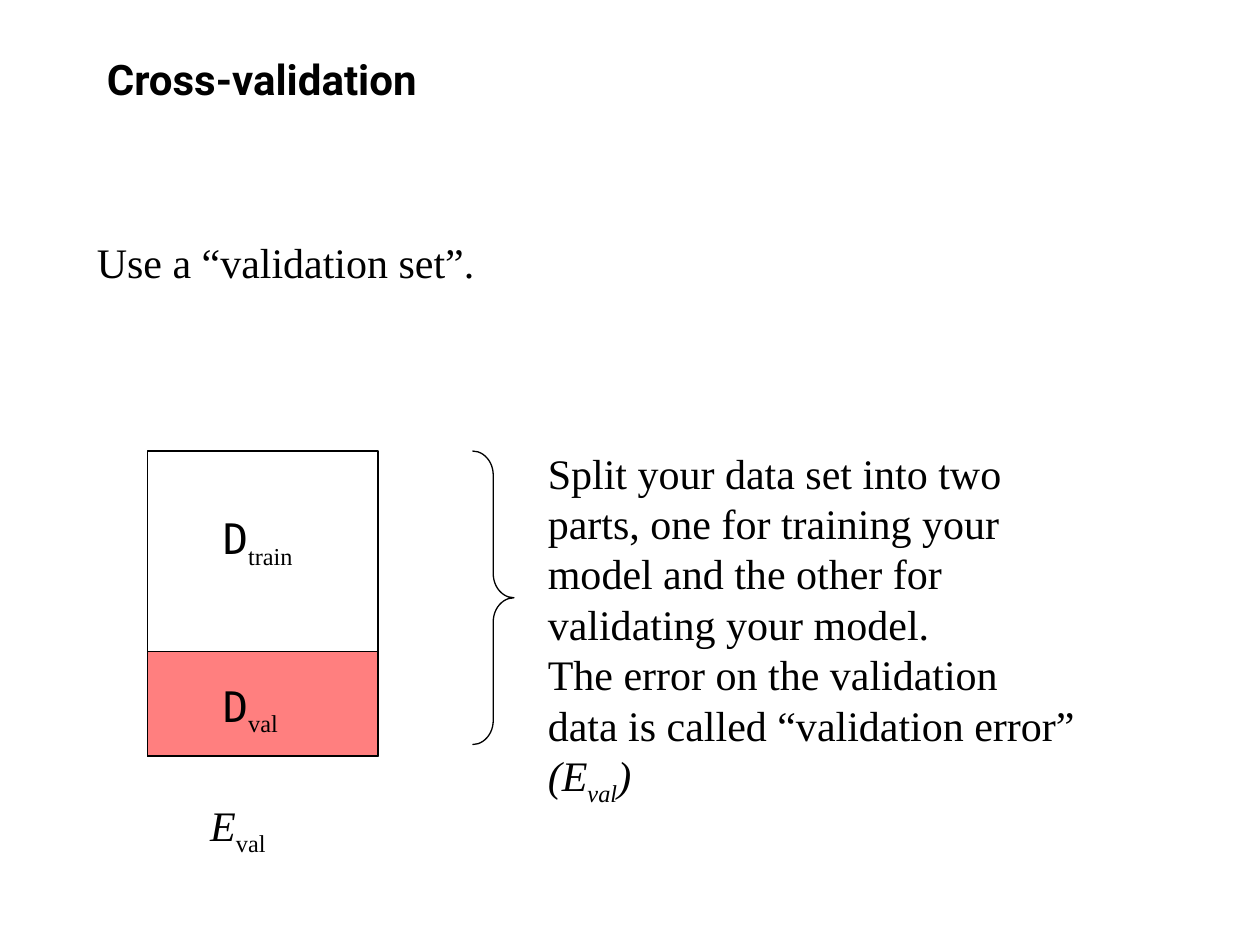
from lxml.etree import SubElement
from pptx import Presentation
from pptx.dml.color import RGBColor
from pptx.enum.shapes import MSO_CONNECTOR, MSO_SHAPE
from pptx.enum.text import MSO_ANCHOR, MSO_AUTO_SIZE
from pptx.oxml.ns import qn
from pptx.util import Inches, Pt

COLORS = {"ink": "000000", "val": "FF0000"}
SERIF = "Times New Roman"
MONO = "DejaVu Sans Mono"
HEAD = "Roboto"


def tint(name):
    return RGBColor.from_string(COLORS[name])


def add_run(para, text, face=SERIF, bold=False, slant=False, sub=False):
    run = para.add_run()
    run.text = text
    font = run.font
    font.name = face
    font.size = Pt(24)
    font.bold = bold
    font.italic = slant
    font.color.rgb = tint("ink")
    if sub:
        font._element.set("baseline", "-25000")


def add_text(slide, box, lines, wrap=False, anchor=MSO_ANCHOR.TOP):
    shape = slide.shapes.add_textbox(*map(Inches, box))
    frame = shape.text_frame
    frame.word_wrap = wrap
    frame.auto_size = MSO_AUTO_SIZE.NONE if wrap else MSO_AUTO_SIZE.SHAPE_TO_FIT_TEXT
    frame.vertical_anchor = anchor
    for i, runs in enumerate(lines):
        para = frame.add_paragraph() if i else frame.paragraphs[0]
        for text, style in runs:
            add_run(para, text, **style)
    return frame


def add_form(slide, kind, box, width, fill=None):
    shape = slide.shapes.add_shape(kind, *map(Inches, box))
    shape.shadow.inherit = False
    shape.line.color.rgb = tint("ink")
    shape.line.width = Pt(width)
    if fill:
        shape.fill.solid()
        shape.fill.fore_color.rgb = tint(fill)
        color = shape.fill._xPr.find(qn("a:solidFill"))[0]
        SubElement(color, qn("a:alpha")).set("val", "50000")
    else:
        shape.fill.background()
    return shape


def add_rule(slide, left, top, width):
    line = slide.shapes.add_connector(
        MSO_CONNECTOR.STRAIGHT,
        Inches(left), Inches(top), Inches(left + width), Inches(top),
    )
    line.line.color.rgb = tint("ink")
    line.line.width = Pt(0.75)
    SubElement(line._element.spPr, qn("a:effectLst"))


def add_title(slide, box):
    runs = [("Cross-validation", {"face": HEAD, "bold": True})]
    add_text(slide, box, [runs], True, MSO_ANCHOR.MIDDLE)


def add_lead(slide, box):
    frame = add_text(slide, box, [[("Use a “validation set”.", {})]], True)
    props = frame.paragraphs[0]._p.get_or_add_pPr()
    props.set("marL", str(Inches(0.38)))
    props.set("indent", str(Inches(-0.38)))


def add_split(slide, box):
    left, top, width, height = box
    share = 0.83
    cut = top + height - share
    add_form(slide, MSO_SHAPE.RECTANGLE, (left, cut, width, share), 0.75, "val")
    add_form(slide, MSO_SHAPE.RECTANGLE, box, 1)
    add_rule(slide, left, cut, width)
    labels = [
        ("D", "train", 0.5, 0.44, 0.84, {"face": MONO}),
        ("D", "val", 0.5, 1.77, 0.71, {"face": MONO}),
        ("E", "val", 0.4, 2.72, 0.68, {"slant": True}),
    ]
    for name, sub, x, y, wide, style in labels:
        runs = [(name, style), (sub, {"sub": True})]
        add_text(slide, (left + x, top + y, wide, 0.5), [runs])


def add_note(slide, box):
    left, top, width, height = box
    brace = add_form(slide, MSO_SHAPE.RIGHT_BRACE, (left, top, 0.33, 2.33), 0.75)
    brace.adjustments[0] = 0.58
    brace.adjustments[1] = 0.5
    plain = [
        "Split your data set into two",
        "parts, one for training your",
        "model and the other for",
        "validating your model.",
        "The error on the validation",
        "data is called “validation error”",
    ]
    lines = [[(text, {})] for text in plain]
    lines.append([
        ("(E", {"slant": True}),
        ("val", {"slant": True, "sub": True}),
        (")", {"slant": True}),
    ])
    add_text(slide, (left + 0.5, top - 0.08, width - 0.5, height), lines)


def main():
    deck = Presentation()
    deck.slide_width = Inches(10)
    deck.slide_height = Inches(7.5)
    slide = deck.slides.add_slide(deck.slide_layouts[6])
    add_title(slide, (0.75, 0.25, 8.5, 0.75))
    add_lead(slide, (0.67, 1.83, 8.5, 0.83))
    add_split(slide, (1.17, 3.58, 1.83, 2.42))
    add_note(slide, (3.75, 3.58, 5.9, 2.9))
    deck.save("out.pptx")


if __name__ == "__main__":
    main()
